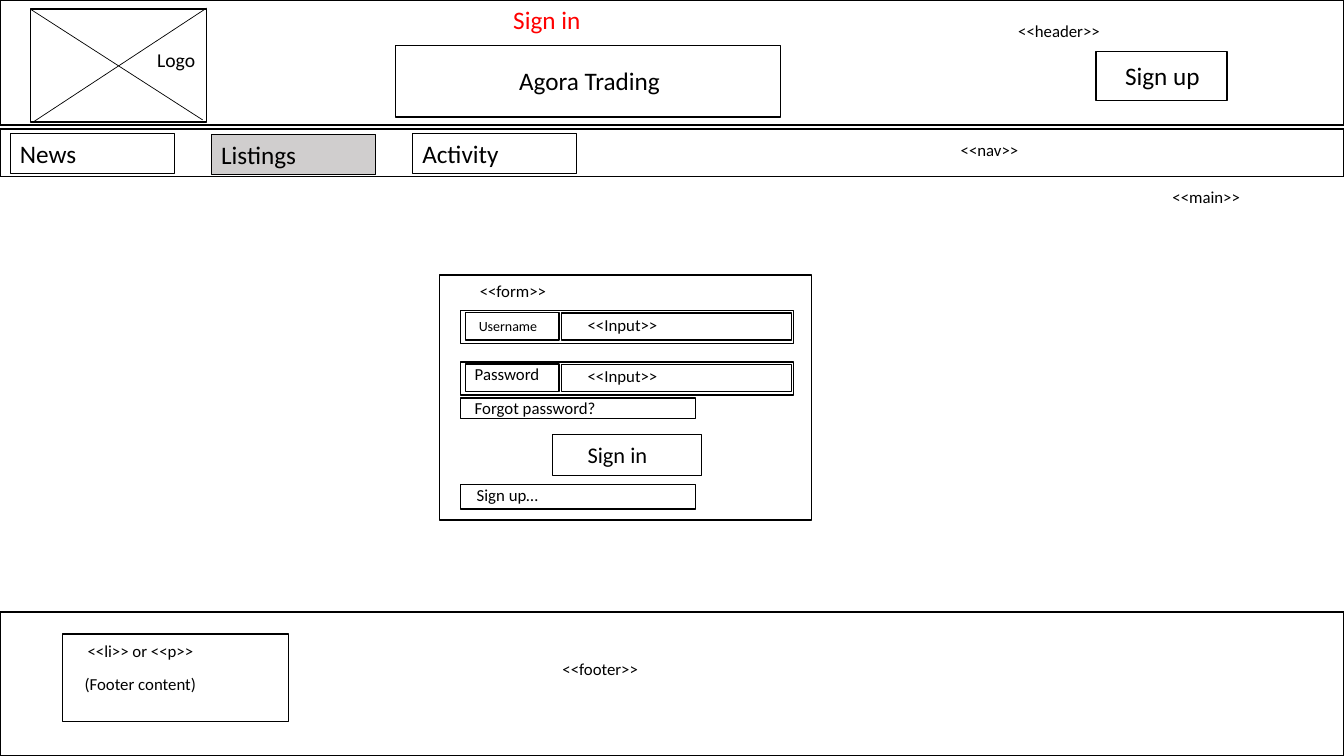
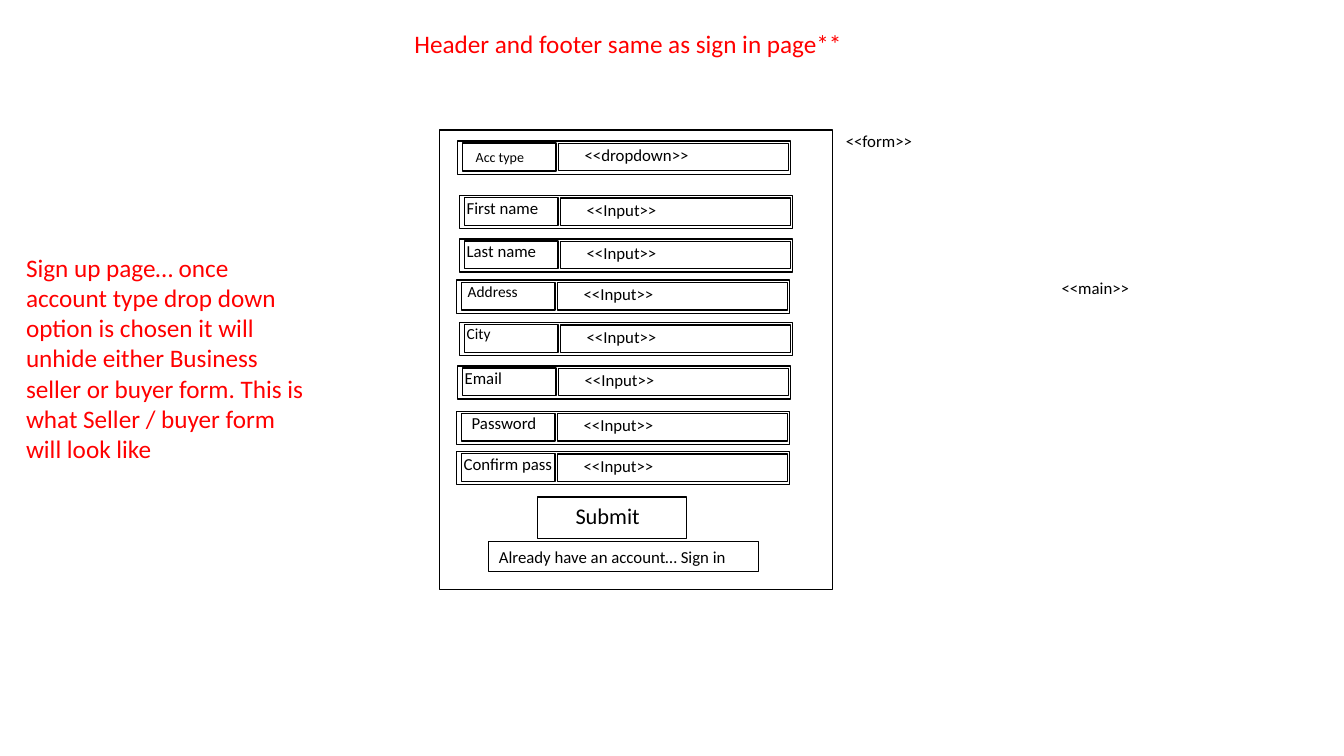
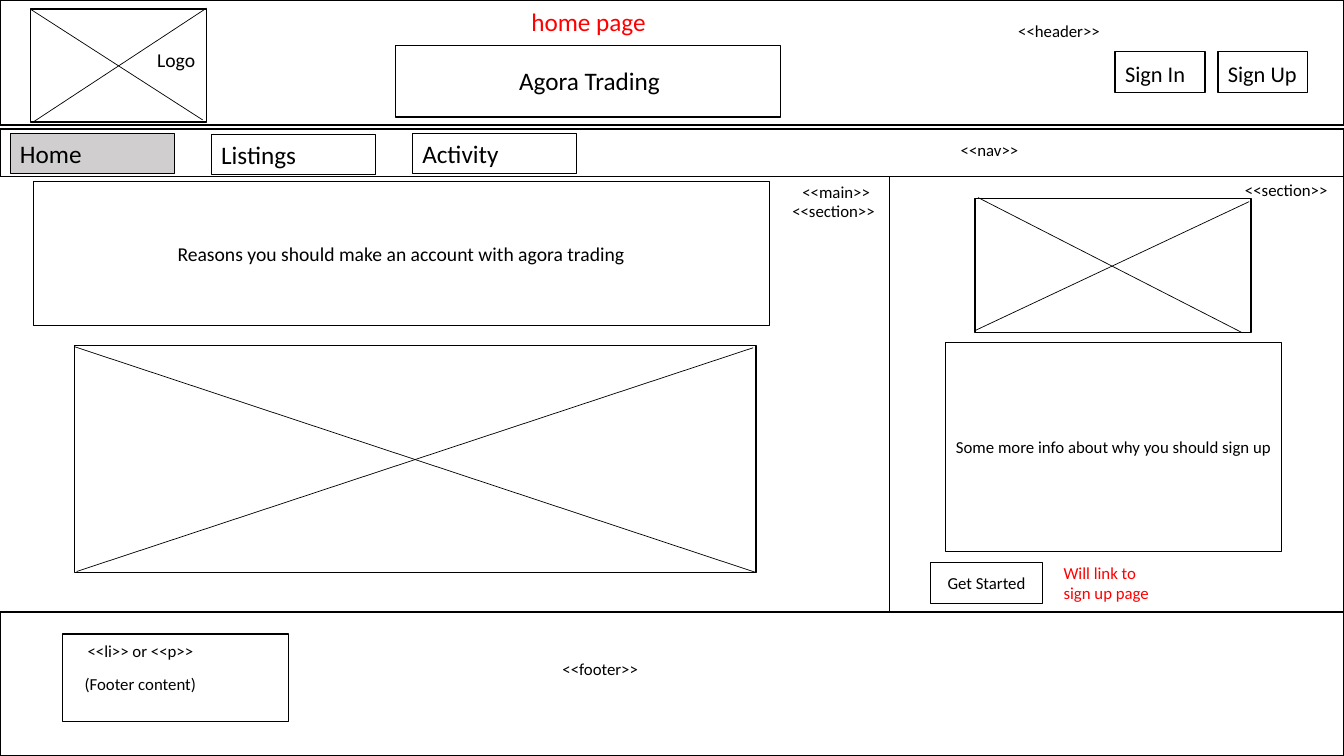
"""Wireframes of a trading site: sign-in, sign-up and home pages."""
from dataclasses import dataclass
from typing import Any, NamedTuple, Optional

from lxml import etree
from pptx import Presentation
from pptx import util as u
from pptx.dml.color import RGBColor
from pptx.enum import shapes, text
from pptx.oxml import ns
from pptx.slide import Slide

BLACK = RGBColor(0x00, 0x00, 0x00)
RED = RGBColor(0xFF, 0x00, 0x00)
GREY = RGBColor(0xD0, 0xCE, 0xCE)
FONT = "Calibri"
CELL = 0.1
COLS, ROWS = 133.3, 75
TITLE_ONLY = 5


class Box(NamedTuple):
    """Left, top, width and height in grid cells."""
    col: float
    row: float
    cols: float
    rows: float


class Line(NamedTuple):
    """Start and end points in grid cells."""
    col: float
    row: float
    end: float
    foot: float


@dataclass(frozen=True)
class Item:
    """A text or a frame; a frame has a line width."""
    at: Box
    words: str = ""
    size: float = 12
    line: float = 0
    fill: Optional[RGBColor] = None
    ink: RGBColor = BLACK
    mid: bool = False


@dataclass(frozen=True)
class Field:
    """A labelled form row; shift moves the label text."""
    col: float
    row: float
    label: str
    shift: float = -0.3
    size: float = 12
    hint: str = "<<Input>>"


def cells(num: float) -> int:
    """Turn grid cells into slide units."""
    return u.Inches(round(num * CELL, 3))


def apply(obj: Any, form: dict[str, Any]) -> None:
    """Set each format value on the object."""
    for name, value in form.items():
        setattr(obj, name, value)


def place(obj: Any, at: Box) -> None:
    """Move and size a shape on the grid."""
    apply(obj, dict(zip(("left", "top", "width", "height"), map(cells, at))))


def write(obj: Any, item: Item) -> None:
    """Fill a shape with one formatted paragraph."""
    frame = obj.text_frame
    frame.text = item.words
    auto = text.MSO_AUTO_SIZE
    apply(frame, {
        "word_wrap": True,
        "auto_size": auto.NONE if item.mid else auto.SHAPE_TO_FIT_TEXT,
        "vertical_anchor": text.MSO_ANCHOR.MIDDLE if item.mid else text.MSO_ANCHOR.TOP,
    })
    para = frame.paragraphs[0]
    apply(para, {
        "alignment": text.PP_ALIGN.CENTER if item.mid else text.PP_ALIGN.LEFT,
        "line_spacing": 1.0,
        "space_before": u.Pt(0),
    })
    font = para.runs[0].font
    apply(font, {"name": FONT, "size": u.Pt(item.size), "bold": False})
    font.color.rgb = item.ink


def draw(slide: Slide, item: Item) -> None:
    """Draw a frame or a plain text."""
    spot = [cells(num) for num in item.at]
    if item.line:
        shape = slide.shapes.add_shape(shapes.MSO_SHAPE.RECTANGLE, *spot)
        shape.shadow.inherit = False
        shape.line.color.rgb = BLACK
        shape.line.width = u.Pt(item.line)
        if item.fill is None:
            shape.fill.background()
        else:
            shape.fill.solid()
            shape.fill.fore_color.rgb = item.fill
    else:
        shape = slide.shapes.add_textbox(*spot)
    if item.words:
        write(shape, item)


def rule(slide: Slide, line: Line) -> None:
    """Draw a thin line."""
    link = slide.shapes.add_connector(shapes.MSO_CONNECTOR.STRAIGHT, *map(cells, line))
    link.line.color.rgb = BLACK
    link.line.width = u.Pt(0.5)
    etree.SubElement(link._element.spPr, ns.qn("a:effectLst"))


def field(slide: Slide, row: Field) -> None:
    """Draw a form row with its label and input."""
    col, top = row.col, row.row
    drop = 0.2 if row.size == 10 else -0.3
    for item in (
        Item(Box(col, top, 33, 3.3), line=1),
        Item(Box(col + 0.45, top + 0.2, 9.3, 2.75), line=1),
        Item(Box(col + 10, top + 0.25, 22.8, 2.7), line=1),
        Item(Box(col + row.shift, top + drop, 11.1, 3), row.label, row.size),
        Item(Box(col + 11.6, top - 0.1, 21.2, 3), row.hint),
    ):
        draw(slide, item)


def shell(slide: Slide, tabs: tuple[str, ...], live: int) -> None:
    """Draw the header, navigation and footer with one live tab."""
    for item in SHELL:
        draw(slide, item)
    for line in LOGO:
        rule(slide, line)
    for num, name in enumerate(tabs):
        spot = Box(1 + 19.95 * num, 13.3 if num == 1 else 13.2, 16.3, 4)
        draw(slide, Item(spot, name, 18, 0.75, GREY if num == live else None))


@dataclass(frozen=True)
class Page:
    """One slide: its title, items, lines, fields and tabs."""
    title: str
    at: Box
    items: tuple[Item, ...]
    lines: tuple[Line, ...] = ()
    fields: tuple[Field, ...] = ()
    tabs: tuple[str, ...] = ()
    live: int = 0


SHELL = (
    Item(Box(0, 0, COLS, 12.4), line=1),
    Item(Box(0, 12.8, COLS, 4.7), line=1),
    Item(Box(0, 60.7, COLS, 14.3), line=1),
    Item(Box(3, 0.9, 17.5, 11.2), line=1),
    Item(Box(39.2, 4.5, 38.2, 7.1), line=1),
    Item(Box(6.2, 62.9, 22.4, 8.7), line=1),
    Item(Box(14.6, 4.3, 6.5, 3.4), "Logo", 14),
    Item(Box(50.5, 6, 18.9, 4), "Agora Trading", 18),
    Item(Box(100, 1.6, 17.5, 3), "<<header>>"),
    Item(Box(94.3, 13.4, 17.5, 3), "<<nav>>"),
    Item(Box(54.8, 64.9, 15.9, 3), "<<footer>>"),
    Item(Box(7.7, 63.1, 14.9, 3), "<<li>> or <<p>>"),
    Item(Box(7.4, 66.3, 14.9, 3), "(Footer content)"),
)
LOGO = (Line(3, 0.9, 20.1, 11.9), Line(20.5, 0.8, 3.3, 12.1))

PAGES = (
    Page(
        "Sign in", Box(49.9, -0.1, 44.4, 4),
        (
            Item(Box(108.7, 5.1, 13, 4.9), line=1),
            Item(Box(110.6, 5.5, 11.9, 4), "Sign up", 18),
            Item(Box(115.3, 18, 8.9, 3), "<<main>>"),
            Item(Box(43.6, 27.3, 36.9, 24.3), line=1),
            Item(Box(46.6, 27.4, 11.8, 3), "<<form>>"),
            Item(Box(45.7, 39.5, 23.3, 2), line=1),
            Item(Box(46.1, 39, 17.1, 3), "Forgot password?"),
            Item(Box(54.8, 43.1, 14.8, 4.1), line=1),
            Item(Box(57.3, 43.3, 11.4, 3.7), "Sign in", 16),
            Item(Box(45.7, 48.1, 23.3, 2.4), line=1),
            Item(Box(46.3, 47.6, 10.4, 3), "Sign up…"),
        ),
        fields=(
            Field(45.7, 30.8, "Username", 0.8, 10),
            Field(45.7, 35.9, "Password", 0.4),
        ),
        tabs=("News", "Listings", "Activity"), live=1,
    ),
    Page(
        "Header and footer same as sign in page**", Box(40.1, 2.3, 48.8, 4),
        (
            Item(Box(43.6, 12.9, 39, 45.6), line=1),
            Item(Box(82.9, 12.5, 11.8, 3), "<<form>>"),
            Item(Box(104.3, 27.1, 15.9, 3), "<<main>>"),
            Item(Box(1.6, 24.5, 29.7, 22.2),
                 "Sign up page… once account type drop down option is chosen it will "
                 "unhide either Business seller or buyer form. This is what Seller / "
                 "buyer form will look like", 18, ink=RED),
            Item(Box(53.3, 49.3, 14.8, 4.1), line=1),
            Item(Box(56.1, 49.3, 11.4, 3.7), "Submit", 16),
            Item(Box(48.5, 53.7, 26.7, 3), "Already have an account… Sign in", line=0.75),
        ),
        fields=(
            Field(45.4, 14, "Acc type", 0.8, 10, "<<dropdown>>"),
            Field(45.6, 19.4, "First name"),
            Field(45.6, 23.7, "Last name"),
            Field(45.3, 27.8, "Address", 0.1, 11),
            Field(45.6, 32, "City", size=11),
            Field(45.4, 36.3, "Email"),
            Field(45.3, 40.8, "Password", 0.5),
            Field(45.3, 44.8, "Confirm pass"),
        ),
    ),
    Page(
        "home page", Box(51.7, 0.1, 60.1, 4),
        (
            Item(Box(110.6, 5.1, 8.9, 4.1), line=1),
            Item(Box(110.6, 5.5, 11.9, 3.7), "Sign In", 16),
            Item(Box(120.8, 5.1, 8.9, 4.1), line=1),
            Item(Box(120.8, 5.5, 11.9, 3.7), "Sign Up", 16),
            Item(Box(78.6, 17.5, 8.9, 3), "<<main>>"),
            Item(Box(77.6, 19.4, 10.6, 3), "<<section>>"),
            Item(Box(3.3, 18, 73, 14.3),
                 "Reasons you should make an account with agora trading", 14, 1, mid=True),
            Item(Box(7.4, 34.3, 67.6, 22.5), line=1),
            Item(Box(88.2, 17.5, 45.1, 43.3), line=1),
            Item(Box(122.5, 17.3, 10.6, 3), "<<section>>"),
            Item(Box(96.7, 19.7, 27.4, 13.3), line=1),
            Item(Box(93.8, 34, 33.3, 20.7),
                 "Some more info about why you should sign up", line=1, mid=True),
            Item(Box(92.3, 55.8, 11.1, 4.1), "Get Started", line=1, mid=True),
            Item(Box(104.5, 55.3, 12.1, 5), "Will link to sign up page", ink=RED),
        ),
        lines=(
            Line(7.4, 34.4, 75, 56.8), Line(7.6, 56.7, 74.7, 34.5),
            Line(97, 19.6, 123.2, 33), Line(96.7, 32.8, 123.9, 20),
        ),
        tabs=("Home", "Listings", "Activity"),
    ),
)


def main() -> None:
    """Build and save the slides."""
    deck = Presentation()
    apply(deck, {"slide_width": cells(COLS), "slide_height": cells(ROWS)})
    for page in PAGES:
        slide = deck.slides.add_slide(deck.slide_layouts[TITLE_ONLY])
        title = slide.shapes.title
        place(title, page.at)
        write(title, Item(page.at, page.title, 18, ink=RED))
        if page.tabs:
            shell(slide, page.tabs, page.live)
        for item in page.items:
            draw(slide, item)
        for line in page.lines:
            rule(slide, line)
        for row in page.fields:
            field(slide, row)
    deck.save("out.pptx")


if __name__ == "__main__":
    main()
